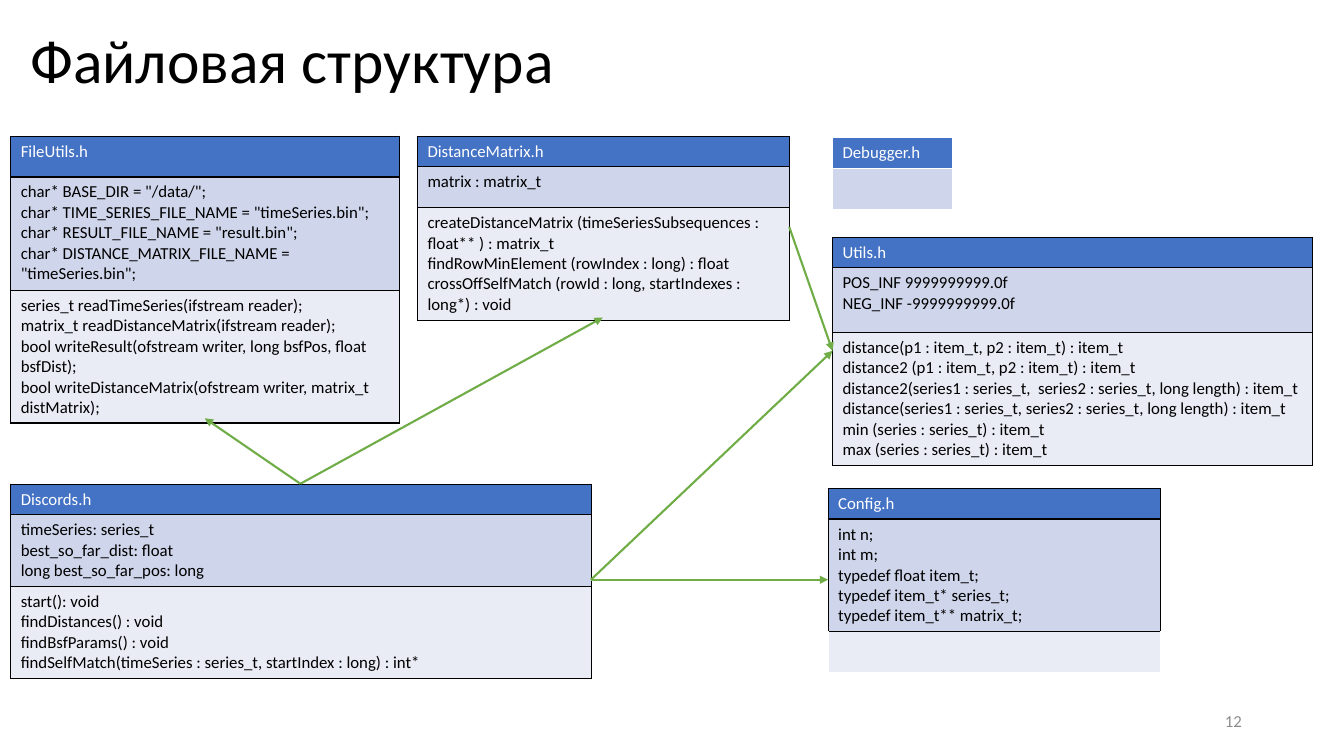
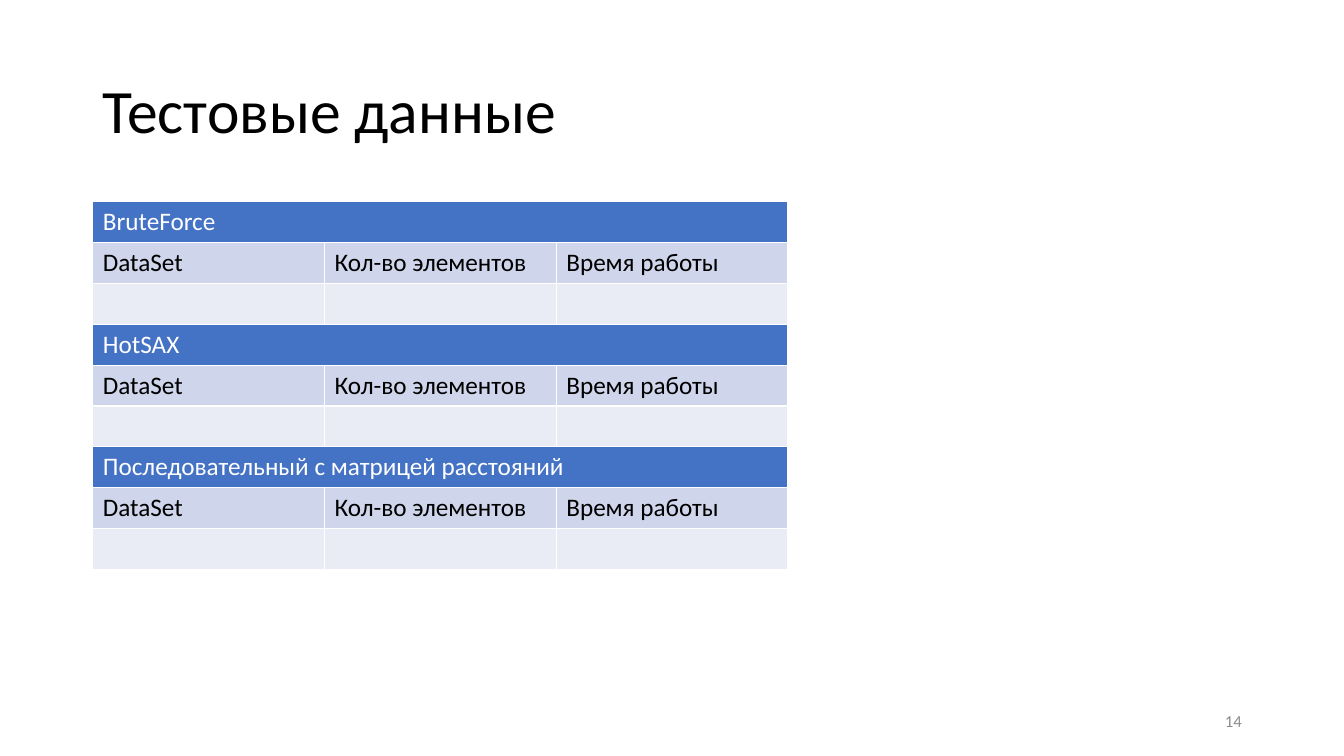
from lxml.etree import SubElement
from pptx import Presentation
from pptx.dml.color import RGBColor
from pptx.enum.shapes import MSO_CONNECTOR as Connector
from pptx.enum.text import MSO_ANCHOR as Anchor, MSO_AUTO_SIZE as AutoSize, PP_ALIGN as Align
from pptx.oxml.ns import qn
from pptx.util import Cm, Pt

# Shared look
FONT = "Calibri"
BLACK, WHITE, GREY = "000000", "FFFFFF", "8C8C8C"
HEADER, BAND_DARK, BAND_LIGHT = "4472C4", "CFD5EA", "E9EBF5"
ROW_FILLS = (HEADER, BAND_DARK, BAND_LIGHT)
ARROW = "70AD47"
LINE_ROW, PLAIN_ROW = 0.77, 1.03
TITLE_ONLY = 5

# Header files: left, top, width, row heights, row texts
HEADER_FILES = [
    (0.27, 3.43, 9.79, (PLAIN_ROW, 2.85, 3.35), (
        "FileUtils.h",
        'char* BASE_DIR = "/data/";\n'
        'char* TIME_SERIES_FILE_NAME = "timeSeries.bin";\n'
        'char* RESULT_FILE_NAME = "result.bin";\n'
        'char* DISTANCE_MATRIX_FILE_NAME = "timeSeries.bin";',
        "series_t readTimeSeries(ifstream reader);\n"
        "matrix_t readDistanceMatrix(ifstream reader);\n"
        "bool writeResult(ofstream writer, long bsfPos, float bsfDist);\n"
        "bool writeDistanceMatrix(ofstream writer, matrix_t distMatrix);")),
    (10.52, 3.43, 9.37, (LINE_ROW, PLAIN_ROW, 2.84), (
        "DistanceMatrix.h",
        "matrix : matrix_t",
        "createDistanceMatrix (timeSeriesSubsequences : float** ) : matrix_t\n"
        "findRowMinElement (rowIndex : long) : float\n"
        "crossOffSelfMatch (rowId : long, startIndexes : long*) : void")),
    (0.27, 12.2, 14.63, (LINE_ROW, 1.8, 2.32), (
        "Discords.h",
        "timeSeries: series_t\nbest_so_far_dist: float\nlong best_so_far_pos: long",
        "start(): void\nfindDistances() : void\nfindBsfParams() : void\n"
        "findSelfMatch(timeSeries : series_t, startIndex : long) : int*")),
    (20.98, 5.98, 12.09, (LINE_ROW, 1.62, 3.35), (
        "Utils.h",
        "POS_INF 9999999999.0f\nNEG_INF -9999999999.0f",
        "distance(p1 : item_t, p2 : item_t) : item_t\n"
        "distance2 (p1 : item_t, p2 : item_t) : item_t\n"
        "distance2(series1 : series_t,  series2 : series_t, long length) : item_t\n"
        "distance(series1 : series_t, series2 : series_t, long length) : item_t\n"
        "min (series : series_t) : item_t\n"
        "max (series : series_t) : item_t")),
    (20.87, 12.31, 8.38, (LINE_ROW, 2.84, PLAIN_ROW), (
        "Config.h",
        "int n;\nint m;\ntypedef float item_t;\ntypedef item_t* series_t;\n"
        "typedef item_t** matrix_t;",
        "")),
]
DEBUGGER_FILE = (20.98, 3.47, 3.02, (LINE_ROW, PLAIN_ROW), ("Debugger.h", ""))

# Arrow ends on the slide
DISCORDS_RIGHT, DISCORDS_TOP = (14.89, 14.61), (7.57, 12.19)
UTILS_LEFT, CONFIG_LEFT = (20.98, 8.84), (20.87, 14.61)
MATRIX_RIGHT, MATRIX_BOTTOM = (19.89, 5.72), (15.19, 8)
FILE_UTILS_BOTTOM = (5.16, 10.54)
DEPENDENCIES = [
    (DISCORDS_RIGHT, CONFIG_LEFT),
    (DISCORDS_TOP, MATRIX_BOTTOM),
    (DISCORDS_TOP, FILE_UTILS_BOTTOM),
    (DISCORDS_RIGHT, UTILS_LEFT),
    (MATRIX_RIGHT, UTILS_LEFT),
]

# Test data
ALGORITHMS = ("BruteForce", "HotSAX", "Последовательный с матрицей расстояний")
COLUMNS = ("DataSet", "Кол-во элементов", "Время работы")


def color(value):
    return RGBColor.from_string(value)


def style_text(frame, size, text_color, align=Align.LEFT):
    for para in frame.paragraphs:
        para.alignment = align
        para.font.name = FONT
        para.font.size = Pt(size)
        para.font.bold = False
        para.font.color.rgb = color(text_color)


def add_page(deck, title, left, top, number):
    """Add a page with its title and page number."""
    page = deck.slides.add_slide(deck.slide_layouts[TITLE_ONLY])
    box = page.shapes.title
    box.left, box.top, box.width, box.height = Cm(left), Cm(top), Cm(29.21), Cm(3.68)
    frame = box.text_frame
    frame.text = title
    frame.auto_size = AutoSize.NONE
    frame.vertical_anchor = Anchor.MIDDLE
    frame.paragraphs[0].line_spacing = 0.9
    style_text(frame, 44, BLACK)

    frame = page.shapes.add_textbox(Cm(23.93), Cm(17.65), Cm(7.62), Cm(1.02)).text_frame
    frame.text = str(number)
    frame.word_wrap = True
    frame.vertical_anchor = Anchor.MIDDLE
    style_text(frame, 12, GREY, Align.RIGHT)
    return page


def set_borders(cell, left, right, top, bottom):
    properties = cell._tc.get_or_add_tcPr()
    for side, value in zip("LRTB", (left, right, top, bottom)):
        line = SubElement(properties, qn(f"a:ln{side}"), w=str(Pt(1)))
        fill = SubElement(line, qn("a:solidFill"))
        SubElement(fill, qn("a:srgbClr"), val=value)


def add_grid(page, left, top, width, heights, rows, size, border):
    """Add a table whose first row is the header; rows hold lists of texts."""
    count = len(rows[0])
    table = page.shapes.add_table(len(rows), count, Cm(left), Cm(top),
                                  Cm(width), Cm(sum(heights))).table
    table.first_row = table.horz_banding = False
    for column in table.columns:
        column.width = Cm(width / count)
    for r, (height, texts, fill) in enumerate(zip(heights, rows, ROW_FILLS)):
        table.rows[r].height = Cm(height)
        for c, text in enumerate(texts):
            cell = table.cell(r, c)
            cell.text = text
            style_text(cell.text_frame, size, WHITE if r == 0 else BLACK)
            # An empty row keeps only the border of the row above it
            side = border if any(texts) else WHITE
            set_borders(cell, side, side, border, side)
            cell.fill.solid()
            cell.fill.fore_color.rgb = color(fill)
    if count > 1:
        table.cell(0, 0).merge(table.cell(0, count - 1))


def add_header_file(page, left, top, width, heights, texts, border):
    add_grid(page, left, top, width, heights, [[text] for text in texts], 12, border)


def add_arrow(page, start, end):
    arrow = page.shapes.add_connector(Connector.STRAIGHT, *map(Cm, start + end))
    arrow.line.color.rgb = color(ARROW)
    arrow.line.width = Pt(1.5)
    SubElement(arrow.line._get_or_add_ln(), qn("a:tailEnd"), type="triangle")
    SubElement(arrow._element.spPr, qn("a:effectLst"))


def build_file_structure(deck):
    page = add_page(deck, "Файловая структура", 0.51, -0.23, 12)
    for header_file in HEADER_FILES:
        add_header_file(page, *header_file, BLACK)
    add_header_file(page, *DEBUGGER_FILE, WHITE)
    for start, end in DEPENDENCIES:
        add_arrow(page, start, end)


def build_test_data(deck):
    page = add_page(deck, "Тестовые данные", 2.34, 1.02, 14)
    heights = (PLAIN_ROW,) * 3
    for i, algorithm in enumerate(ALGORITHMS):
        rows = [(algorithm, "", ""), COLUMNS, ("", "", "")]
        add_grid(page, 2.34, 5.08 + i * sum(heights), 17.52, heights, rows, 18, WHITE)


def main():
    deck = Presentation()
    deck.slide_width, deck.slide_height = Cm(33.87), Cm(19.05)
    build_file_structure(deck)
    build_test_data(deck)
    deck.save("out.pptx")


if __name__ == "__main__":
    main()
